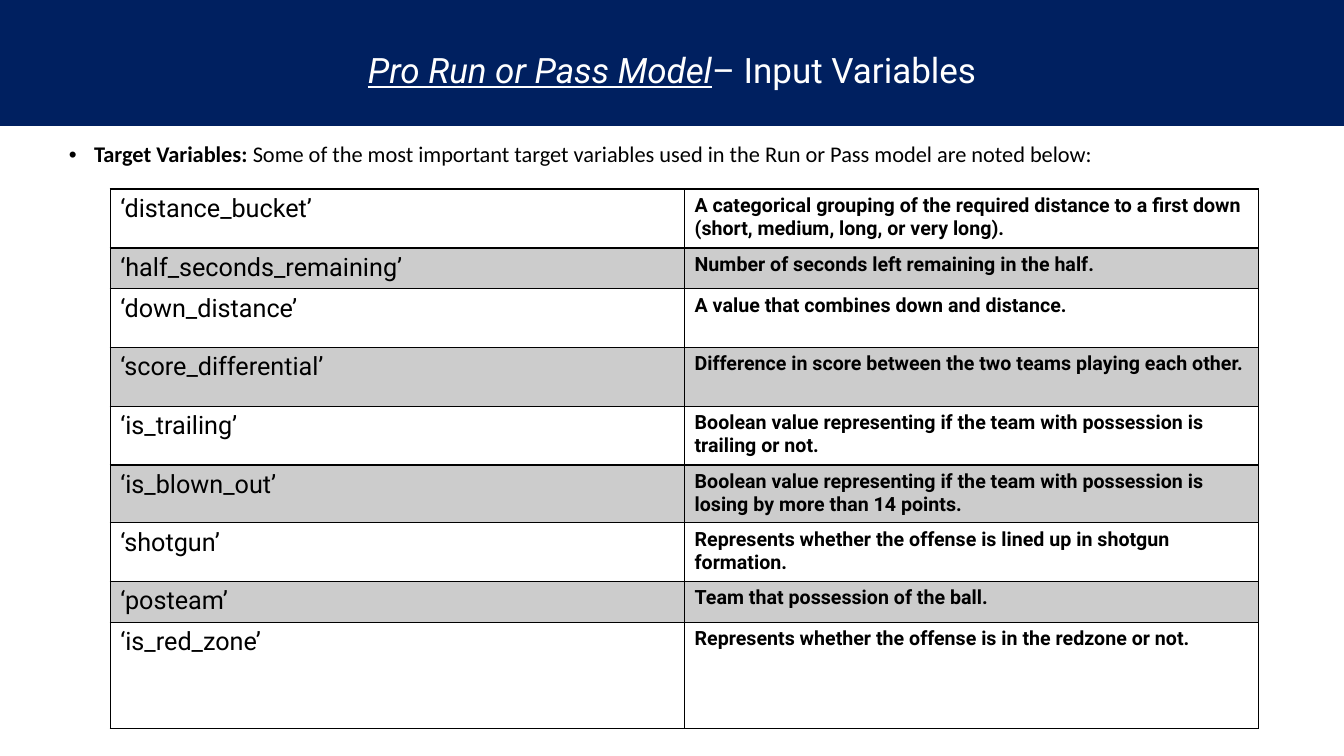
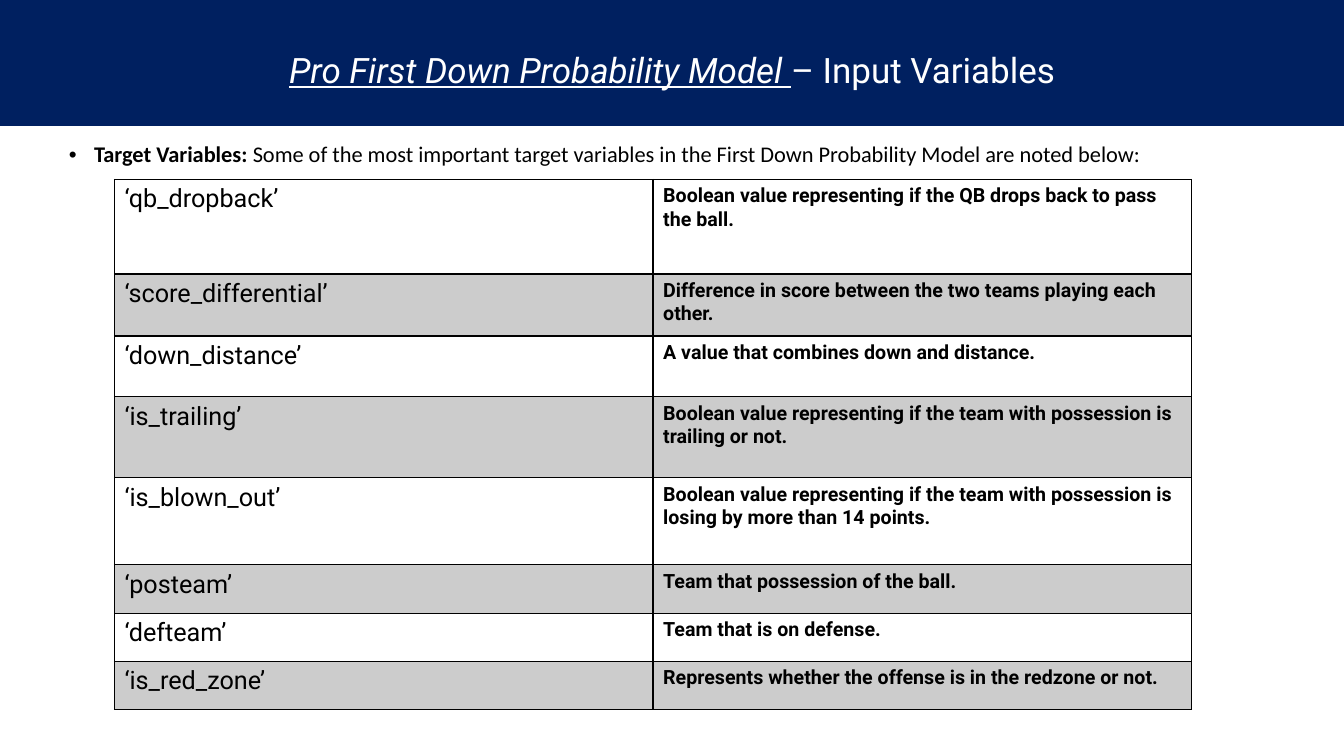
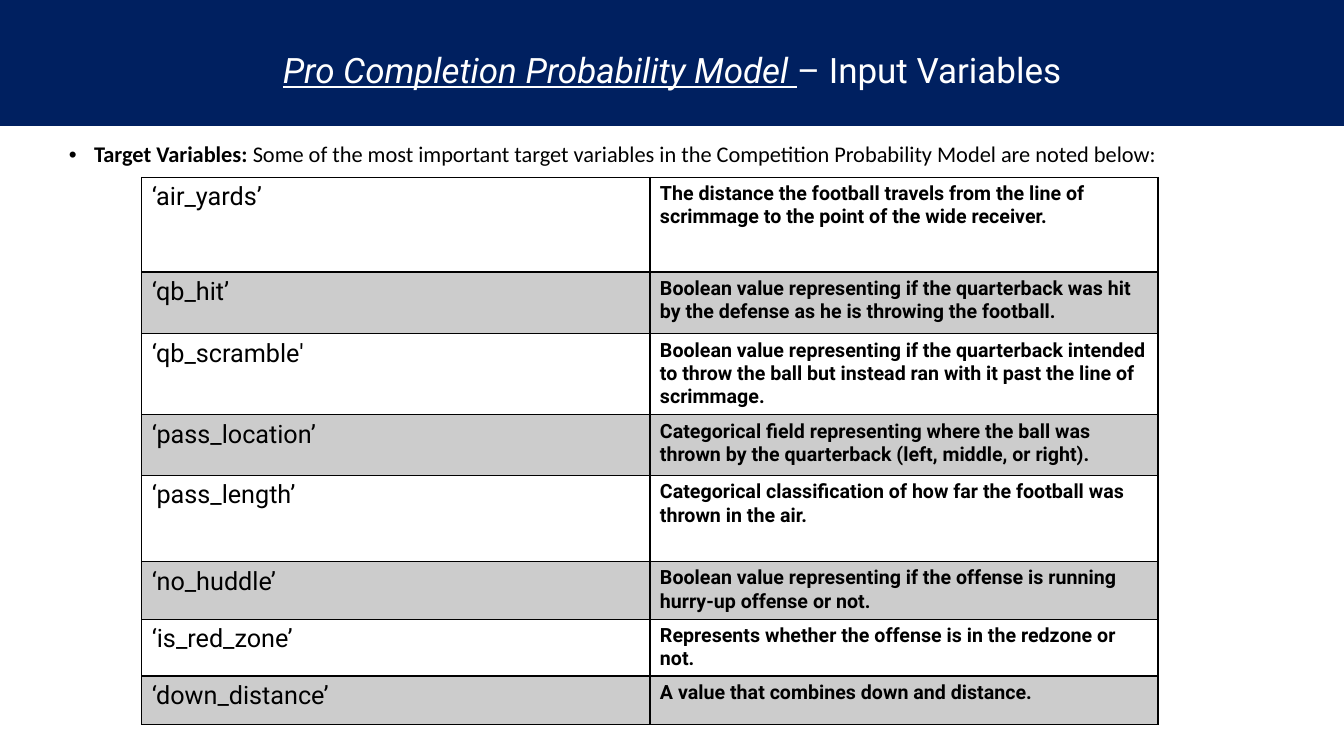
from lxml.etree import SubElement
from pptx import Presentation
from pptx.dml.color import RGBColor
from pptx.enum.text import MSO_ANCHOR, MSO_AUTO_SIZE, PP_ALIGN
from pptx.oxml.ns import qn
from pptx.util import Pt

PX = 9525
SLIDE_WIDTH, SLIDE_HEIGHT = 1280, 720
BAND_HEIGHT = 120
COLORS = {"navy": "002060", "white": "FFFFFF", "black": "000000", "gray": "CCCCCC"}
TITLE_FONT, BODY_FONT = "Roboto", "Calibri"

DOWN_DISTANCE = ("‘down_distance’", "A value that combines down and distance.")
SCORE_DIFFERENTIAL = ("‘score_differential’",
                      "Difference in score between the two teams playing each other.")
IS_TRAILING = ("‘is_trailing’",
               "Boolean value representing if the team with possession is trailing or not.")
IS_BLOWN_OUT = ("‘is_blown_out’",
                "Boolean value representing if the team with possession is losing by more "
                "than 14 points.")
POSTEAM = ("‘posteam’", "Team that possession of the ball.")
IS_RED_ZONE = ("‘is_red_zone’", "Represents whether the offense is in the redzone or not.")

MODELS = [
    {
        "model": "Pro Run or Pass Model",
        "suffix": "– Input Variables",
        "intro": "used in the Run or Pass model",
        "intro_width": 1104,
        "table_at": (105, 180),
        "column_width": 547,
        "row_heights": [56, 39, 56, 56, 56, 55, 56, 39, 101],
        "variables": [
            ("‘distance_bucket’",
             "A categorical grouping of the required distance to a first down "
             "(short, medium, long, or very long)."),
            ("‘half_seconds_remaining’", "Number of seconds left remaining in the half."),
            DOWN_DISTANCE,
            SCORE_DIFFERENTIAL,
            IS_TRAILING,
            IS_BLOWN_OUT,
            ("‘shotgun’", "Represents whether the offense is lined up in shotgun formation."),
            POSTEAM,
            IS_RED_ZONE,
        ],
    },
    {
        "model": "Pro First Down Probability Model ",
        "suffix": "– Input Variables",
        "intro": "in the First Down Probability Model",
        "intro_width": 1202,
        "table_at": (109, 171),
        "column_width": 513,
        "row_heights": [90, 59, 58, 77, 83, 46, 46, 46],
        "variables": [
            ("‘qb_dropback’", "Boolean value representing if the QB drops back to pass the ball."),
            SCORE_DIFFERENTIAL,
            DOWN_DISTANCE,
            IS_TRAILING,
            IS_BLOWN_OUT,
            POSTEAM,
            ("‘defteam’", "Team that is on defense."),
            IS_RED_ZONE,
        ],
    },
    {
        "model": "Pro Completion Probability Model ",
        "suffix": "– Input Variables",
        "intro": "in the Competition Probability Model",
        "intro_width": 1202,
        "table_at": (135, 169),
        "column_width": 484,
        "row_heights": [90, 59, 77, 58, 82, 55, 54, 46],
        "variables": [
            ("‘air_yards’",
             "The distance the football travels from the line of scrimmage to the point "
             "of the wide receiver."),
            ("‘qb_hit’",
             "Boolean value representing if the quarterback was hit by the defense as he "
             "is throwing the football."),
            ("‘qb_scramble'",
             "Boolean value representing if the quarterback intended to throw the ball but "
             "instead ran with it past the line of scrimmage."),
            ("‘pass_location’",
             "Categorical field representing where the ball was thrown by the quarterback "
             "(left, middle, or right)."),
            ("‘pass_length’",
             "Categorical classification of how far the football was thrown in the air."),
            ("‘no_huddle’",
             "Boolean value representing if the offense is running hurry-up offense or not."),
            IS_RED_ZONE,
            DOWN_DISTANCE,
        ],
    },
]


def rgb(name):
    return RGBColor.from_string(COLORS[name])


def place(shape, left, top, width, height):
    shape.left, shape.top = left * PX, top * PX
    shape.width, shape.height = width * PX, height * PX


def set_font(font, name, size, color):
    font.name, font.size = name, Pt(size)
    font.color.rgb = rgb(color)


def add_run(paragraph, text):
    run = paragraph.add_run()
    run.text = text
    return run


def add_title_band(slide, model, suffix):
    band = slide.shapes.title
    place(band, 0, 0, SLIDE_WIDTH, BAND_HEIGHT)
    band.fill.solid()
    band.fill.fore_color.rgb = rgb("navy")
    frame = band.text_frame
    frame.auto_size = MSO_AUTO_SIZE.NONE
    frame.vertical_anchor = MSO_ANCHOR.MIDDLE
    frame.margin_top, frame.margin_bottom = 12 * PX, 0
    title = frame.paragraphs[0]
    title.alignment = PP_ALIGN.CENTER
    set_font(title.font, TITLE_FONT, 25, "white")
    model_run = add_run(title, model)
    model_run.font.italic = model_run.font.underline = True
    add_run(title, suffix)


def set_bullet(paragraph, indent):
    properties = paragraph._p.get_or_add_pPr()
    properties.set("marL", str(indent * PX))
    properties.set("indent", str(-indent * PX))
    SubElement(properties, qn("a:buFont"), typeface="Arial")
    SubElement(properties, qn("a:buChar"), char="•")


def add_intro(slide, subject, width):
    body = slide.placeholders[1]
    place(body, 56, 132, width, 457)
    body.text_frame.auto_size = MSO_AUTO_SIZE.NONE
    intro = body.text_frame.paragraphs[0]
    set_bullet(intro, 24)
    intro.line_spacing = 0.9
    intro.space_before = Pt(0)
    set_font(intro.font, BODY_FONT, 16, "black")
    add_run(intro, "Target Variables: ").font.bold = True
    add_run(intro, f"Some of the most important target variables {subject} are noted below:")


def set_borders(cell, top, bottom):
    """Draw black borders, 1 pt at the sides and the given points above and below."""
    properties = cell._tc.get_or_add_tcPr()
    for side, points in (("L", 1), ("R", 1), ("T", top), ("B", bottom)):
        line = SubElement(properties, qn(f"a:ln{side}"), w=str(Pt(points)))
        fill = SubElement(line, qn("a:solidFill"))
        SubElement(fill, qn("a:srgbClr"), val=COLORS["black"])


def fill_cell(cell, text, size, bold, row_index):
    set_borders(cell, top=2 if row_index == 1 else 1, bottom=2 if row_index == 0 else 1)
    if row_index % 2:
        cell.fill.solid()
        cell.fill.fore_color.rgb = rgb("gray")
    else:
        cell.fill.background()
    paragraph = cell.text_frame.paragraphs[0]
    set_font(paragraph.font, TITLE_FONT, size, "black")
    paragraph.font.bold = bold
    add_run(paragraph, text)


def add_variable_table(slide, variables, at, column_width, row_heights):
    left, top = at
    table = slide.shapes.add_table(
        len(variables), 2, left * PX, top * PX,
        2 * column_width * PX, sum(row_heights) * PX).table
    table.first_row = table.horz_banding = False
    for column in table.columns:
        column.width = column_width * PX
    for index, (height, (variable, meaning)) in enumerate(zip(row_heights, variables)):
        table.rows[index].height = height * PX
        fill_cell(table.cell(index, 0), variable, 18, False, index)
        fill_cell(table.cell(index, 1), meaning, 14, True, index)


def main():
    deck = Presentation()
    deck.slide_width, deck.slide_height = SLIDE_WIDTH * PX, SLIDE_HEIGHT * PX
    for model in MODELS:
        slide = deck.slides.add_slide(deck.slide_layouts[1])
        add_title_band(slide, model["model"], model["suffix"])
        add_intro(slide, model["intro"], model["intro_width"])
        add_variable_table(slide, model["variables"], model["table_at"],
                           model["column_width"], model["row_heights"])
    deck.save("out.pptx")


if __name__ == "__main__":
    main()
